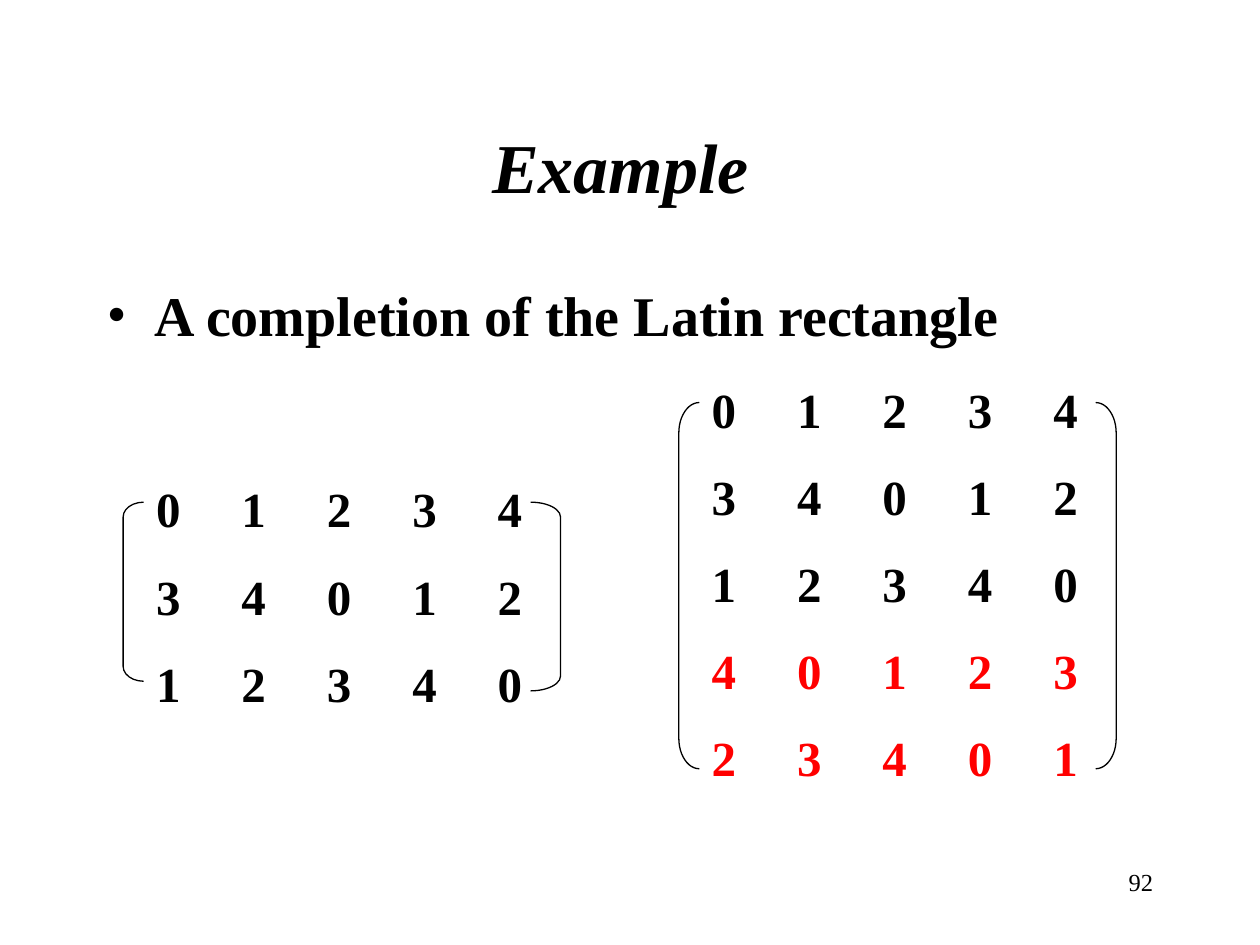
from dataclasses import dataclass

from lxml.etree import SubElement
from pptx import Presentation
from pptx.dml.color import RGBColor
from pptx.enum.shapes import MSO_SHAPE as Shape
from pptx.enum.text import MSO_ANCHOR as Anchor, PP_ALIGN as Align
from pptx.oxml.ns import qn
from pptx.util import Inches, Pt


@dataclass(frozen=True)
class Theme:
    font: str = "Times New Roman"
    ink: str = "000000"
    accent: str = "FF0000"
    title: int = 40
    title_end: int = 44
    bullet: int = 32
    entry: int = 28
    number: int = 14
    bracket_line: float = 0.75


@dataclass(frozen=True)
class Box:
    left: float
    top: float
    width: float
    height: float

    def emu(self):
        return [Inches(v) for v in (self.left, self.top, self.width, self.height)]


@dataclass(frozen=True)
class Bracket:
    """Width in columns; height and corner in rows."""
    width: float
    height: float
    corner: float


THEME = Theme()
LATIN_RECTANGLE = ["01234", "34012", "12340"]
COMPLETION = ["40123", "23401"]
BRACKET_TOP = 0.34         # rows below the top of the matrix
BRACKET_RIGHT_EDGE = 4.88  # columns from the left of the matrix


def write(paragraph, text, size, color=THEME.ink, bold=False, italic=False,
          align=None, before=None):
    """Add a formatted run to a paragraph."""
    run = paragraph.add_run()
    run.text = text
    font = run.font
    font.name, font.size, font.bold, font.italic = THEME.font, Pt(size), bold, italic
    font.color.rgb = RGBColor.from_string(color)
    if align is not None:
        paragraph.alignment = align
    if before is not None:
        paragraph.space_before = Pt(before)


def add_text(shapes, box, text, **style):
    """Add a wrapping text box and return its paragraph."""
    frame = shapes.add_textbox(*box.emu()).text_frame
    frame.word_wrap = True
    write(frame.paragraphs[0], text, **style)
    return frame.paragraphs[0]


def place_title(slide, box):
    title = slide.shapes.title
    title.left, title.top, title.width, title.height = box.emu()
    frame = title.text_frame
    frame.vertical_anchor = Anchor.MIDDLE
    heading = frame.paragraphs[0]
    write(heading, "Example", THEME.title, bold=True, italic=True, align=Align.CENTER)
    write(heading, " ", THEME.title_end, italic=True)


def place_statement(slide, box):
    statement = add_text(slide.shapes, box, "A completion of the Latin rectangle",
                         size=THEME.bullet, bold=True, before=8)
    # Hanging bullet
    props = statement._p.get_or_add_pPr()
    props.set("marL", str(Inches(0.38)))
    props.set("indent", str(-Inches(0.38)))
    SubElement(props, qn("a:buFont"), typeface=THEME.font)
    SubElement(props, qn("a:buChar"), char="•")


def add_bracket(shapes, preset, box, corner):
    bracket = shapes.add_shape(preset, *box.emu())
    bracket.adjustments[0] = corner / min(box.width, box.height)
    bracket.shadow.inherit = False
    bracket.fill.background()
    bracket.line.color.rgb = RGBColor.from_string(THEME.ink)
    bracket.line.width = Pt(THEME.bracket_line)


def place_matrix(slide, box, given, added, left, right):
    """Draw the given rows, then the added rows in the accent colour."""
    shapes = slide.shapes.add_group_shape().shapes
    rows = given + added
    col_w, row_h = box.width / len(rows[0]), box.height / len(rows)

    # Entries
    for r, row in enumerate(rows):
        color = THEME.ink if r < len(given) else THEME.accent
        for c, entry in enumerate(row):
            cell = Box(box.left + c * col_w, box.top + r * row_h, col_w, row_h)
            add_text(shapes, cell, entry, size=THEME.entry, color=color,
                     bold=True, before=7)

    # Brackets
    for preset, bracket, start in (
            (Shape.LEFT_BRACKET, left, -left.width),
            (Shape.RIGHT_BRACKET, right, BRACKET_RIGHT_EDGE - right.width)):
        place = Box(box.left + start * col_w, box.top + BRACKET_TOP * row_h,
                    bracket.width * col_w, bracket.height * row_h)
        add_bracket(shapes, preset, place, bracket.corner * row_h)


def place_number(slide, box):
    add_text(slide.shapes, box, "92", size=THEME.number, align=Align.RIGHT)


def main():
    deck = Presentation()
    deck.slide_width, deck.slide_height = Inches(10), Inches(7.5)
    slide = deck.slides.add_slide(deck.slide_layouts[5])

    place_number(slide, Box(7.17, 6.83, 2.08, 0.5))
    place_title(slide, Box(0.75, 0.67, 8.5, 1.25))
    place_statement(slide, Box(0.75, 2.18, 8.5, 4.5))
    tall = Bracket(width=0.24, height=4.2, corner=0.35)
    place_matrix(slide, Box(5.55, 2.96, 3.39, 3.46), LATIN_RECTANGLE, COMPLETION,
                 left=tall, right=tall)
    place_matrix(slide, Box(1.14, 3.75, 3.39, 2.08), LATIN_RECTANGLE, [],
                 left=Bracket(width=0.24, height=2.05, corner=0.17),
                 right=Bracket(width=0.35, height=2.16, corner=0.17))
    deck.save("out.pptx")


if __name__ == "__main__":
    main()
